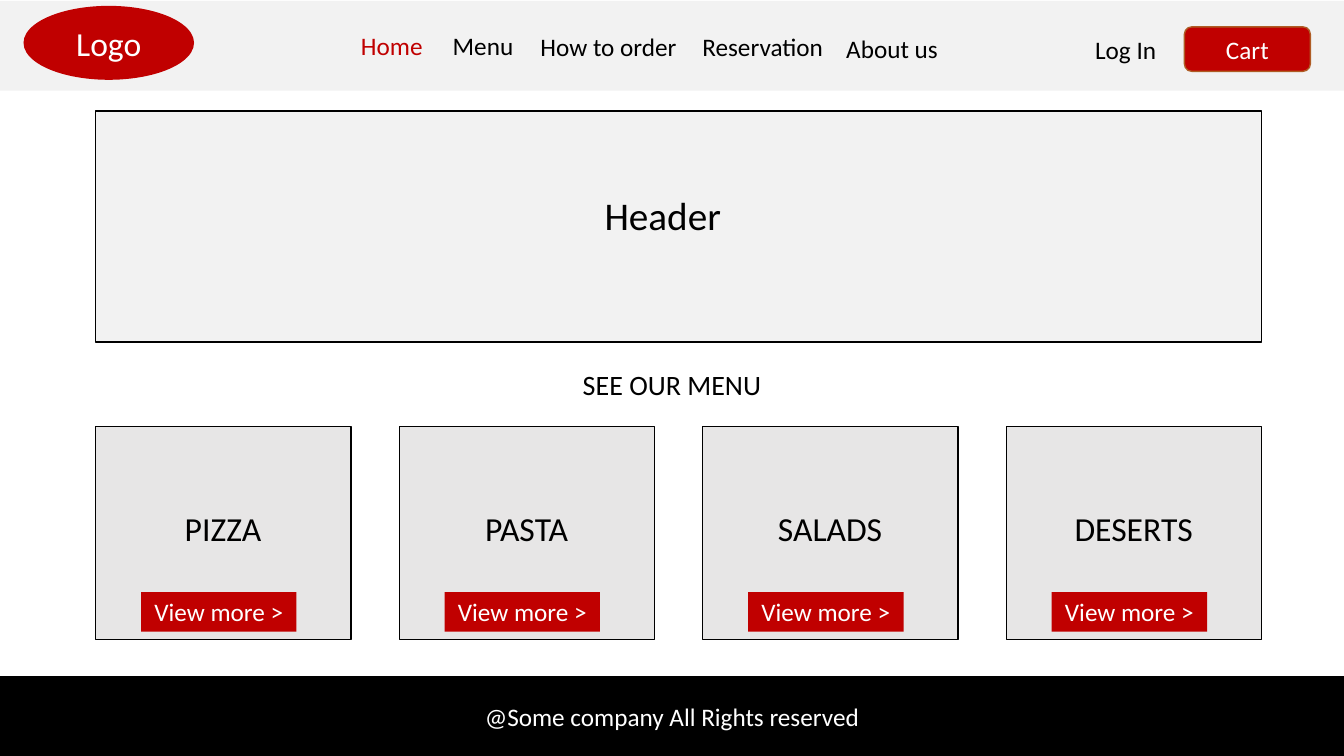
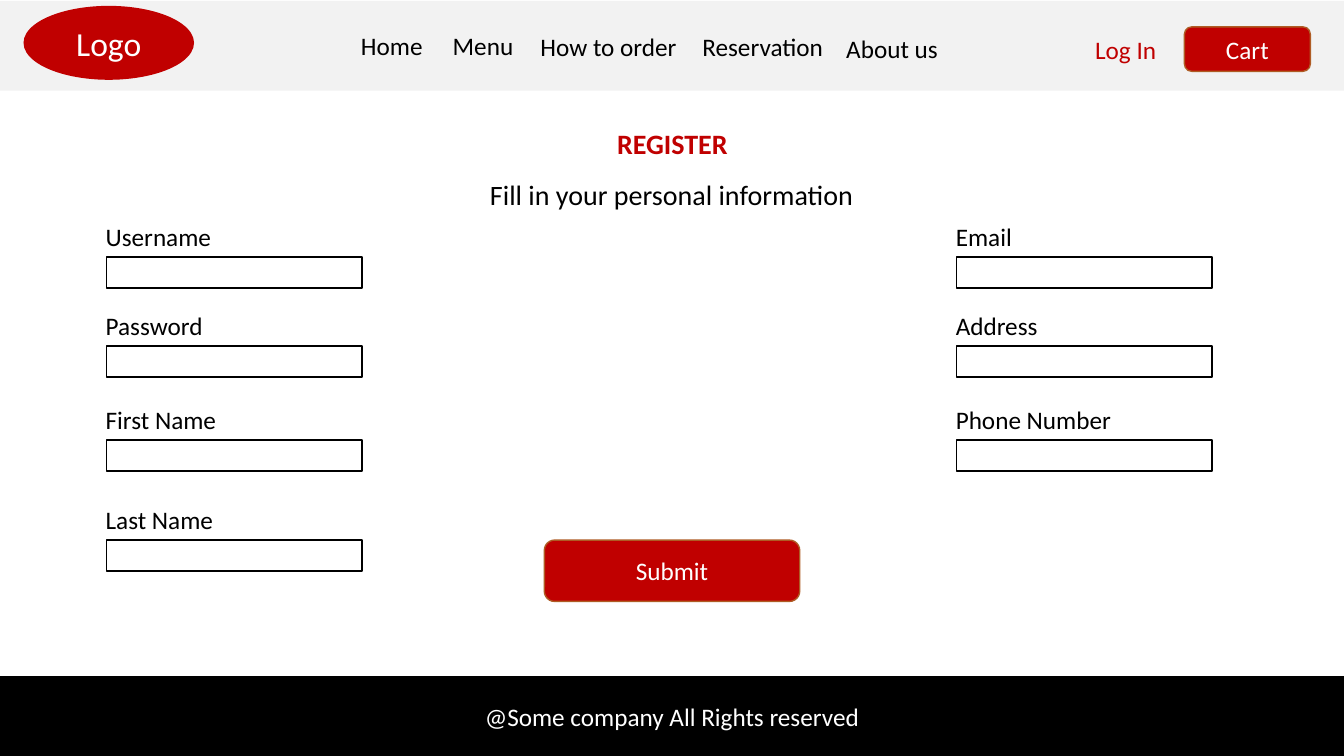
from dataclasses import dataclass

from pptx import Presentation
from pptx.dml.color import RGBColor
from pptx.enum.shapes import MSO_SHAPE
from pptx.enum.text import MSO_ANCHOR, MSO_AUTO_SIZE, PP_ALIGN
from pptx.util import Inches, Pt

COLORS = {
    "black": "000000",
    "white": "FFFFFF",
    "red": "C00000",
    "rust": "AF5C24",
    "pale": "F2F2F2",
    "gray": "E7E6E6",
}
FONT = "Calibri"
SLIDE_WIDTH, SLIDE_HEIGHT = Inches(13.33), Inches(7.5)
COLUMNS, ROWS = 160, 90
CARD_WIDTH = 30.4
TITLE_ONLY = 5

NAVIGATION = [
    ("Home", 41.8, 2.9, 10, PP_ALIGN.LEFT),
    ("Menu", 51.5, 2.9, 12, PP_ALIGN.CENTER),
    ("How to order", 62.2, 3, 20.5, PP_ALIGN.CENTER),
    ("Reservation", 81.8, 3.1, 18, PP_ALIGN.CENTER),
    ("About us", 98, 3.3, 16.4, PP_ALIGN.CENTER),
    ("Log In", 128, 3.4, 12, PP_ALIGN.CENTER),
]
DISHES = ["PIZZA", "PASTA", "SALADS", "DESERTS"]
FIELD_ROWS = [25.8, 36.4, 47.6, 59.5]
FIELD_COLUMNS = {
    11.4: ["Username", "Password", "First Name", "Last Name"],
    112.6: ["Email", "Address", "Phone Number"],
}


@dataclass
class Box:
    left: float
    top: float
    width: float
    height: float

    def inner(self, left, top, width, height):
        return Box(self.left + left, self.top + top, width, height)

    def lengths(self):
        column, row = SLIDE_WIDTH / COLUMNS, SLIDE_HEIGHT / ROWS
        return (round(self.left * column), round(self.top * row),
                round(self.width * column), round(self.height * row))


def color(name):
    return RGBColor.from_string(COLORS[name])


def write(frame, text, size, ink, align=PP_ALIGN.CENTER,
          anchor=MSO_ANCHOR.TOP, bold=False):
    frame.word_wrap = True
    frame.auto_size = MSO_AUTO_SIZE.NONE
    frame.vertical_anchor = anchor
    para = frame.paragraphs[0]
    para.text = text
    para.alignment = align
    para.font.name = FONT
    para.font.size = Pt(size)
    para.font.bold = bold
    para.font.color.rgb = color(ink)


def add_text(page, box, text, size=18, ink="black", align=PP_ALIGN.CENTER):
    label = page.shapes.add_textbox(*box.lengths())
    write(label.text_frame, text, size, ink, align)


def add_block(page, box, fill, line=None, kind=MSO_SHAPE.RECTANGLE,
              text=None, size=18, anchor=MSO_ANCHOR.MIDDLE):
    block = page.shapes.add_shape(kind, *box.lengths())
    block.shadow.inherit = False
    block.fill.solid()
    block.fill.fore_color.rgb = color(fill)
    if line:
        block.line.color.rgb = color(line)
        block.line.width = Pt(1)
    else:
        block.line.fill.background()
    if text:
        write(block.text_frame, text, size, "white", anchor=anchor)


def add_button(page, box, text):
    add_block(page, box, "red", "rust", MSO_SHAPE.ROUNDED_RECTANGLE, text)


def set_title(page, box, text, ink="black", bold=False):
    title = page.shapes.title
    title.left, title.top, title.width, title.height = box.lengths()
    write(title.text_frame, text, 20, ink, bold=bold)


def add_navigation(page, box, active):
    add_block(page, box, "pale")
    add_block(page, box.inner(2.8, 0.6, 20.3, 8.8), "red",
              kind=MSO_SHAPE.OVAL, text="Logo", size=24)
    for text, left, top, width, align in NAVIGATION:
        ink = "red" if text == active else "black"
        add_text(page, box.inner(left, top, width, 4.8), text, ink=ink, align=align)
    add_button(page, box.inner(141, 3.1, 15, 5.3), "Cart")


def add_footer(page, box):
    add_block(page, box, "black", "black", text="@Some company All Rights reserved")


def add_hero(page, box):
    add_block(page, box, "pale", "black")
    add_text(page, box.inner(28.3, 9, 78.4, 6.8), "Header", 28)


def add_card(page, box, dish):
    add_block(page, box, "gray", "black")
    add_text(page, box.inner(4.6, 9.1, 21.1, 6), dish, 24)
    add_block(page, box.inner(5.4, 19.7, 18.5, 4.7), "red",
              text="View more >", anchor=MSO_ANCHOR.BOTTOM)


def add_cards(page, box):
    pitch = (box.width - CARD_WIDTH) / (len(DISHES) - 1)
    for index, dish in enumerate(DISHES):
        add_card(page, box.inner(index * pitch, 0, CARD_WIDTH, box.height), dish)


def add_field(page, box, name):
    add_text(page, box.inner(0, 0, box.width, 4.8), name, align=PP_ALIGN.LEFT)
    add_block(page, box.inner(1.3, 4.8, box.width, 3.7), "white", "black")


def add_page(deck, active):
    page = deck.slides.add_slide(deck.slide_layouts[TITLE_ONLY])
    add_navigation(page, Box(0, 0.1, COLUMNS, 10.7), active)
    add_footer(page, Box(0, 80.6, COLUMNS, 9.4))
    return page


def add_home_page(deck):
    page = add_page(deck, "Home")
    add_hero(page, Box(11.4, 13.2, 138.8, 27.5))
    set_title(page, Box(40.8, 43.1, 78.4, 5.3), "SEE OUR MENU")
    add_cards(page, Box(11.4, 50.8, 138.8, 25.3))


def add_register_page(deck):
    page = add_page(deck, "Log In")
    heading = Box(47.6, 14.4, 64.9, 5.3)
    set_title(page, heading, "REGISTER", "red", bold=True)
    add_text(page, heading.inner(-0.1, 6.2, 64.9, 5.3),
             "Fill in your personal information", 20)
    for left, names in FIELD_COLUMNS.items():
        for top, name in zip(FIELD_ROWS, names):
            add_field(page, Box(left, top, CARD_WIDTH, 8.5), name)
    add_button(page, Box(64.8, 64.3, CARD_WIDTH, 7.3), "Submit")


def main():
    deck = Presentation()
    deck.slide_width, deck.slide_height = SLIDE_WIDTH, SLIDE_HEIGHT
    add_home_page(deck)
    add_register_page(deck)
    deck.save("out.pptx")


if __name__ == "__main__":
    main()
